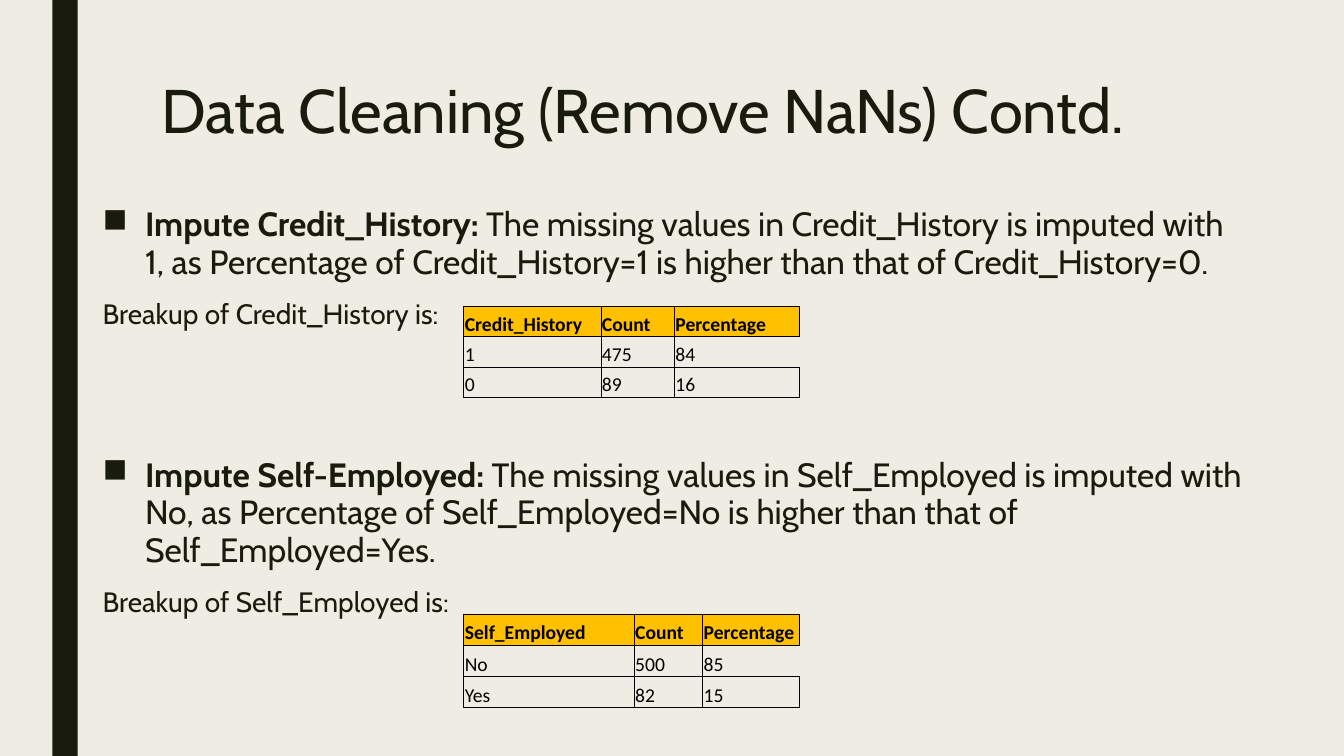
import pptx
import pptx.util
import pptx.dml.color
import pptx.enum.shapes
import pptx.enum.text
import pptx.oxml
import pptx.oxml.ns
from lxml import etree

Inches, Pt = pptx.util.Inches, pptx.util.Pt
COLORS = {"bg": "EFEDE3", "dark": "191B0E", "header": "FFC000", "black": "000000"}
RGB = {name: pptx.dml.color.RGBColor.from_string(c) for name, c in COLORS.items()}
NS = pptx.oxml.ns.nsdecls("a")


def style(r, size, font, color, bold=False):
    r.font.size = Pt(size)
    r.font.name = font
    r.font.color.rgb = RGB[color]
    r.font.bold = bold


def add_textbox(s, left, top, width, height):
    tf = s.shapes.add_textbox(Inches(left), Inches(top), Inches(width), Inches(height)).text_frame
    tf.word_wrap = True
    return tf


prs = pptx.Presentation()
prs.slide_width, prs.slide_height = Inches(13.33), Inches(7.5)
s = prs.slides.add_slide(prs.slide_layouts[6])
s.background.fill.solid()
s.background.fill.fore_color.rgb = RGB["bg"]

bar = s.shapes.add_shape(pptx.enum.shapes.MSO_SHAPE.RECTANGLE,
                         Inches(0.52), 0, Inches(0.25), Inches(7.5))
bar.shadow.inherit = False
bar.fill.solid()
bar.fill.fore_color.rgb = RGB["dark"]
bar.line.fill.background()

p = add_textbox(s, 1.5, 0.75, 10.5, 1.62).paragraphs[0]
p.text = "Data Cleaning (Remove NaNs) Contd."
p.line_spacing = 0.89
style(p.runs[0], 44, "Cabin", "dark")

# Each paragraph: bold lead, plain text, size, space before, bulleted
paragraphs = [
    ("Impute Credit_History:",
     " The missing values in Credit_History is imputed with 1, as Percentage of "
     "Credit_History=1 is higher than that of Credit_History=0.", 24, 10, True),
    ("", "Breakup of Credit_History is:", 20, 10, False),
    ("Impute Self-Employed:",
     " The missing values in Self_Employed is imputed with No, as Percentage of "
     "Self_Employed=No is higher than that of Self_Employed=Yes.", 24, 88, True),
    ("", "Breakup of Self_Employed is:", 20, 10, False),
]
tf = add_textbox(s, 0.92, 2, 11.5, 5.21)
for i, (lead, text, size, before, bulleted) in enumerate(paragraphs):
    p = tf.paragraphs[0] if i == 0 else tf.add_paragraph()
    p.line_spacing = 0.94
    p.space_before, p.space_after = Pt(before), Pt(2)
    for part, bold in ((lead, True), (text, False)):
        if part:
            r = p.add_run()
            r.text = part
            style(r, size, "Cabin", "dark", bold)
    if bulleted:
        pPr = p._p.get_or_add_pPr()
        pPr.set("marL", str(Inches(0.42)))
        pPr.set("indent", str(-Inches(0.42)))
        pPr.append(pptx.oxml.parse_xml(f'<a:buChar {NS} char="■"/>'))

# Each table: top, row height, column widths, rows
tables = [
    (6.09, 0.31, (1.69, 0.68, 0.96),
     [("Self_Employed", "Count", "Percentage"), ("No", "500", "85"), ("Yes", "82", "15")]),
    (3.04, 0.3, (1.36, 0.73, 1.24),
     [("Credit_History", "Count", "Percentage"), ("1", "475", "84"), ("0", "89", "16")]),
]
solid = f'<a:solidFill><a:srgbClr val="{COLORS["black"]}"/></a:solidFill>'
for top, row_height, widths, rows in tables:
    table = s.shapes.add_table(len(rows), len(widths), Inches(4.6), Inches(top),
                               Inches(sum(widths)), Inches(row_height * len(rows))).table
    table.first_row = table.horz_banding = False
    for column, width in zip(table.columns, widths):
        column.width = Inches(width)
    for i, values in enumerate(rows):
        table.rows[i].height = Inches(row_height)
        for j, value in enumerate(values):
            cell = table.cell(i, j)
            cell.text = value
            style(cell.text_frame.paragraphs[0].runs[0], 14, "Calibri", "black", i == 0)
            cell.vertical_anchor = pptx.enum.text.MSO_ANCHOR.BOTTOM
            cell.margin_left = cell.margin_right = cell.margin_top = Inches(0.01)
            cell.margin_bottom = 0
            tcPr = cell._tc.get_or_add_tcPr()
            for side in "LRTB":
                # The first data row is open on the right
                is_open = side == "R" and (i, j) == (1, 2)
                line = "<a:noFill/>" if is_open else solid
                tcPr.append(pptx.oxml.parse_xml(
                    f'<a:ln{side} {NS} w="{Pt(0.5)}">{line}</a:ln{side}>'))
            if i == 0:
                cell.fill.solid()
                cell.fill.fore_color.rgb = RGB["header"]
            else:
                cell.fill.background()

prs.save("out.pptx")
